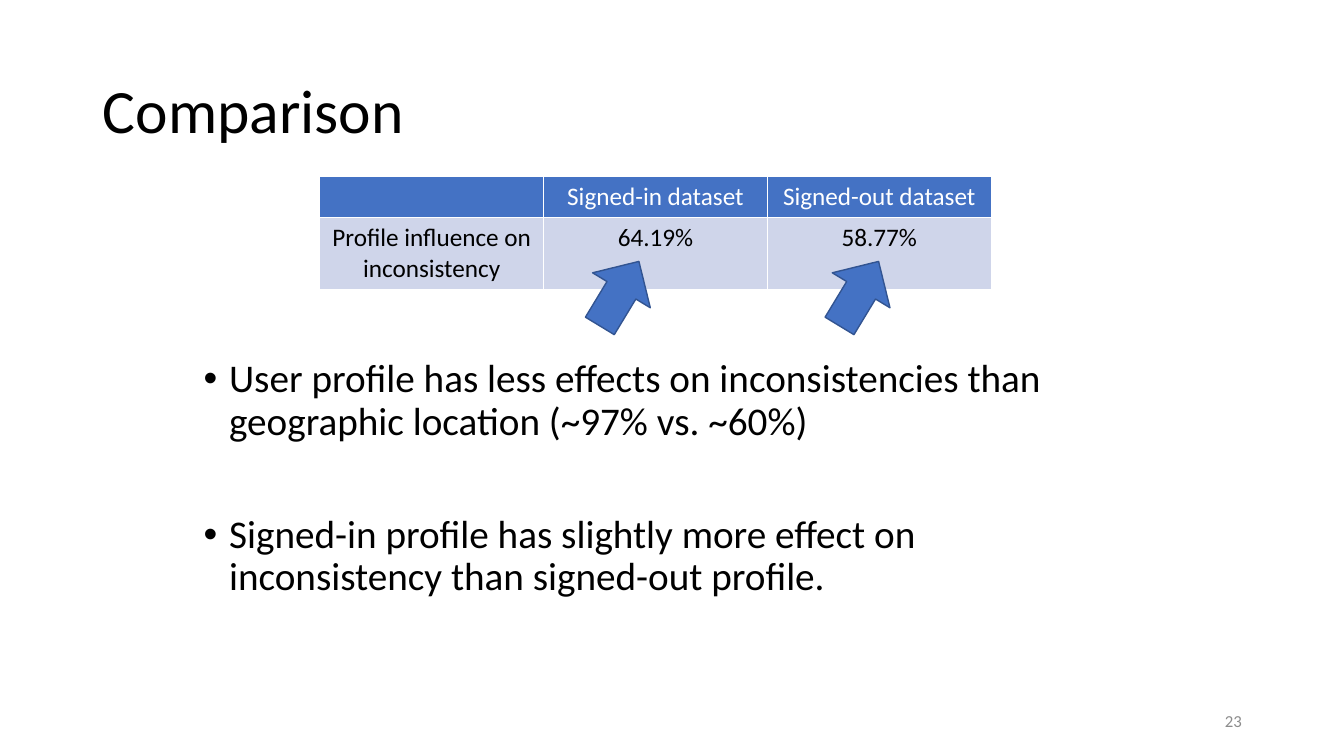
import pptx
import pptx.dml.color
import pptx.enum.shapes
import pptx.enum.text
import pptx.oxml
import pptx.oxml.ns
import pptx.util

Cm = pptx.util.Cm
Pt = pptx.util.Pt
RGBColor = pptx.dml.color.RGBColor
Align = pptx.enum.text.PP_ALIGN
Anchor = pptx.enum.text.MSO_ANCHOR

BLACK = RGBColor(0x00, 0x00, 0x00)
WHITE = RGBColor(0xFF, 0xFF, 0xFF)
BLUE = RGBColor(0x44, 0x72, 0xC4)
DARK_BLUE = RGBColor(0x32, 0x54, 0x91)
PALE_BLUE = RGBColor(0xCF, 0xD5, 0xEA)
GREY = RGBColor(0x8C, 0x8C, 0x8C)


class ComparisonSlide:
    font_name = "Calibri"

    def __init__(self, presentation):
        self.slide = presentation.slides.add_slide(presentation.slide_layouts[1])

    def add_text(self, paragraph, text, size, color, align=Align.LEFT):
        paragraph.alignment = align
        run = paragraph.add_run()
        run.text = text
        run.font.name = self.font_name
        run.font.size = Pt(size)
        run.font.bold = False
        run.font.color.rgb = color

    def place(self, shape, left, top, width, height):
        shape.left, shape.top = Cm(left), Cm(top)
        shape.width, shape.height = Cm(width), Cm(height)

    def title(self, text, *box):
        heading = self.slide.shapes.title
        self.place(heading, *box)
        frame = heading.text_frame
        frame.auto_size = pptx.enum.text.MSO_AUTO_SIZE.NONE
        frame.vertical_anchor = Anchor.MIDDLE
        frame.paragraphs[0].line_spacing = 0.9
        self.add_text(frame.paragraphs[0], text, 44, BLACK)

    def bullets(self, findings, gap, *box):
        body = self.slide.placeholders[1]
        self.place(body, *box)
        frame = body.text_frame
        frame.auto_size = pptx.enum.text.MSO_AUTO_SIZE.NONE
        for index, finding in enumerate(findings):
            paragraph = frame.add_paragraph() if index else frame.paragraphs[0]
            properties = paragraph._p.get_or_add_pPr()
            properties.set("marL", str(Cm(0.64)))
            properties.set("indent", str(-Cm(0.64)))
            bullet = pptx.oxml.parse_xml(
                f'<a:buChar {pptx.oxml.ns.nsdecls("a")} char="•"/>')
            properties.append(bullet)
            paragraph.line_spacing = 0.9
            paragraph.space_before = Pt(gap if index else 0)
            self.add_text(paragraph, finding, 28, BLACK)

    def border(self, cell):
        properties = cell._tc.get_or_add_tcPr()
        for position, side in enumerate("LRTB"):
            line = pptx.oxml.parse_xml(
                f'<a:ln{side} {pptx.oxml.ns.nsdecls("a")} w="{Pt(1)}">'
                f'<a:solidFill><a:srgbClr val="{WHITE}"/></a:solidFill></a:ln{side}>')
            properties.insert(position, line)

    def table(self, rows, row_heights, column_width, left, top):
        columns = len(rows[0])
        grid = self.slide.shapes.add_table(
            len(rows), columns, Cm(left), Cm(top),
            Cm(column_width * columns), Cm(sum(row_heights))).table
        for column in grid.columns:
            column.width = Cm(column_width)
        for r, (texts, height) in enumerate(zip(rows, row_heights)):
            grid.rows[r].height = Cm(height)
            for c, text in enumerate(texts):
                cell = grid.cell(r, c)
                cell.fill.solid()
                cell.fill.fore_color.rgb = PALE_BLUE if r else BLUE
                self.border(cell)
                if text:
                    self.add_text(cell.text_frame.paragraphs[0], text, 18,
                                  BLACK if r else WHITE, Align.CENTER)

    def arrow(self, left, top, width, height):
        pointer = self.slide.shapes.add_shape(
            pptx.enum.shapes.MSO_SHAPE.RIGHT_ARROW,
            Cm(left), Cm(top), Cm(width), Cm(height))
        pointer.rotation = 301.2
        pointer.shadow.inherit = False
        pointer.fill.solid()
        pointer.fill.fore_color.rgb = BLUE
        pointer.line.color.rgb = DARK_BLUE
        pointer.line.width = Pt(1)

    def page_number(self, number, *box):
        frame = self.slide.shapes.add_textbox(*map(Cm, box)).text_frame
        frame.word_wrap = True
        frame.vertical_anchor = Anchor.MIDDLE
        self.add_text(frame.paragraphs[0], number, 12, GREY, Align.RIGHT)


def main():
    presentation = pptx.Presentation()
    presentation.slide_width = Cm(33.87)
    presentation.slide_height = Cm(19.05)

    comparison = ComparisonSlide(presentation)
    comparison.table(
        [["", "Signed-in dataset", "Signed-out dataset"],
         ["Profile influence on inconsistency", "64.19%", "58.77%"]],
        [1.03, 1.79], 5.64, 8.06, 4.45)
    comparison.title("Comparison", 2.34, 1.02, 29.21, 3.68)
    comparison.bullets(
        ["User profile has less effects on inconsistencies than "
         "geographic location (~97% vs. ~60%)",
         "Signed-in profile has slightly more effect on "
         "inconsistency than signed-out profile."],
        50.7, 4.88, 8.92, 22.86, 8.97)
    comparison.page_number("23", 23.93, 17.65, 7.62, 1.02)
    for left in (14.66, 20.7):
        comparison.arrow(left, 6.55, 1.9, 1.7)

    presentation.save("out.pptx")


if __name__ == "__main__":
    main()
